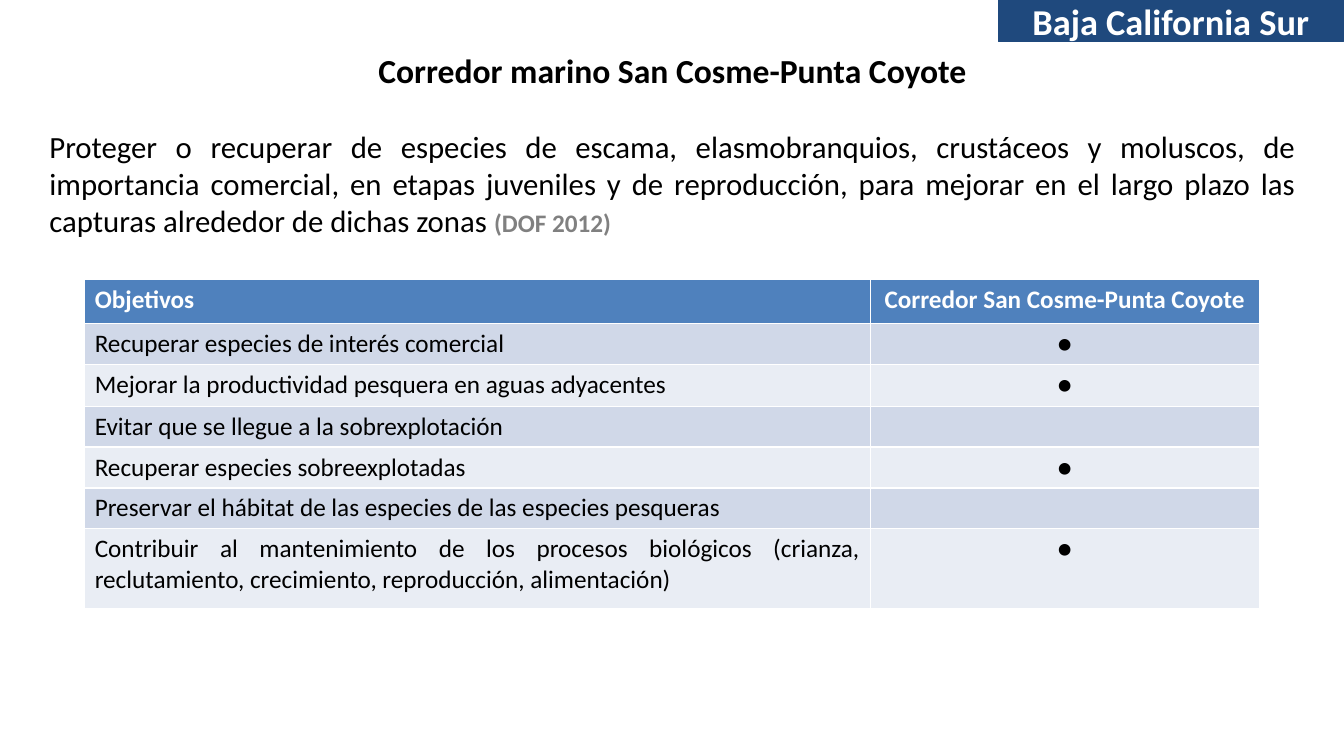
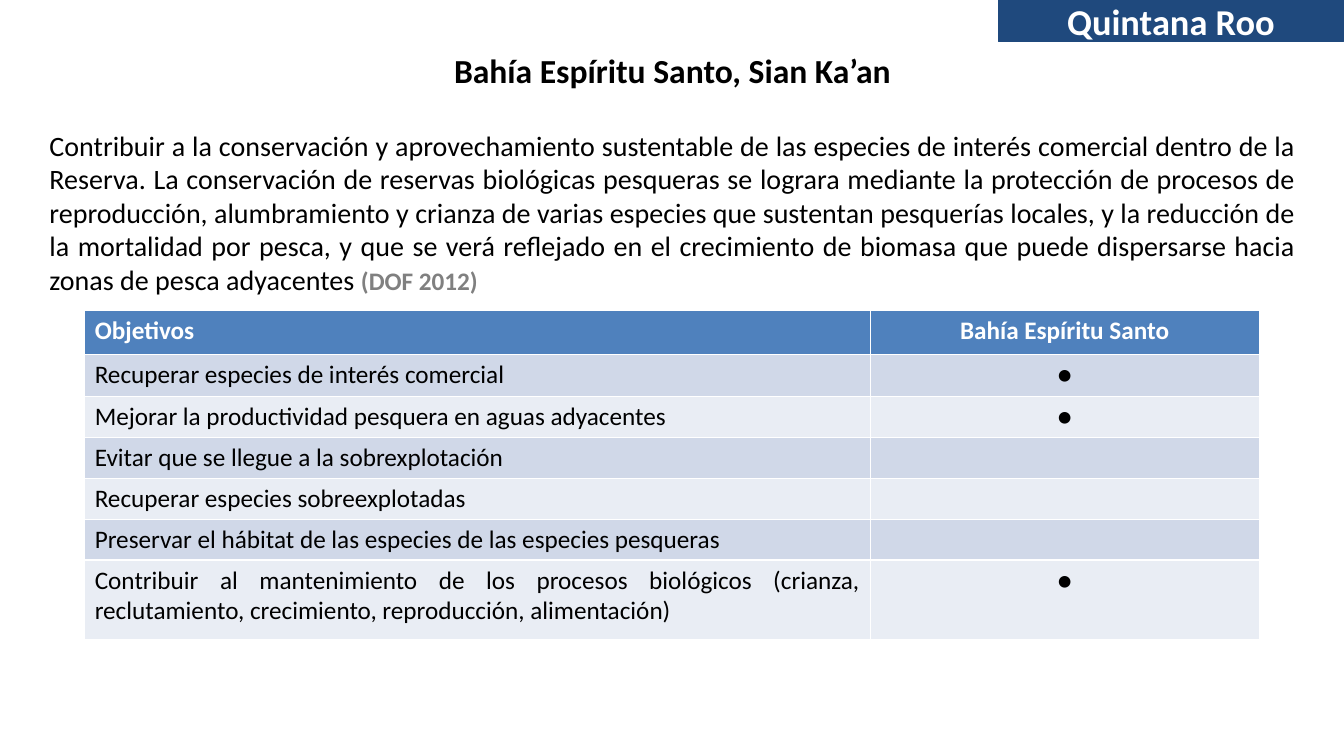
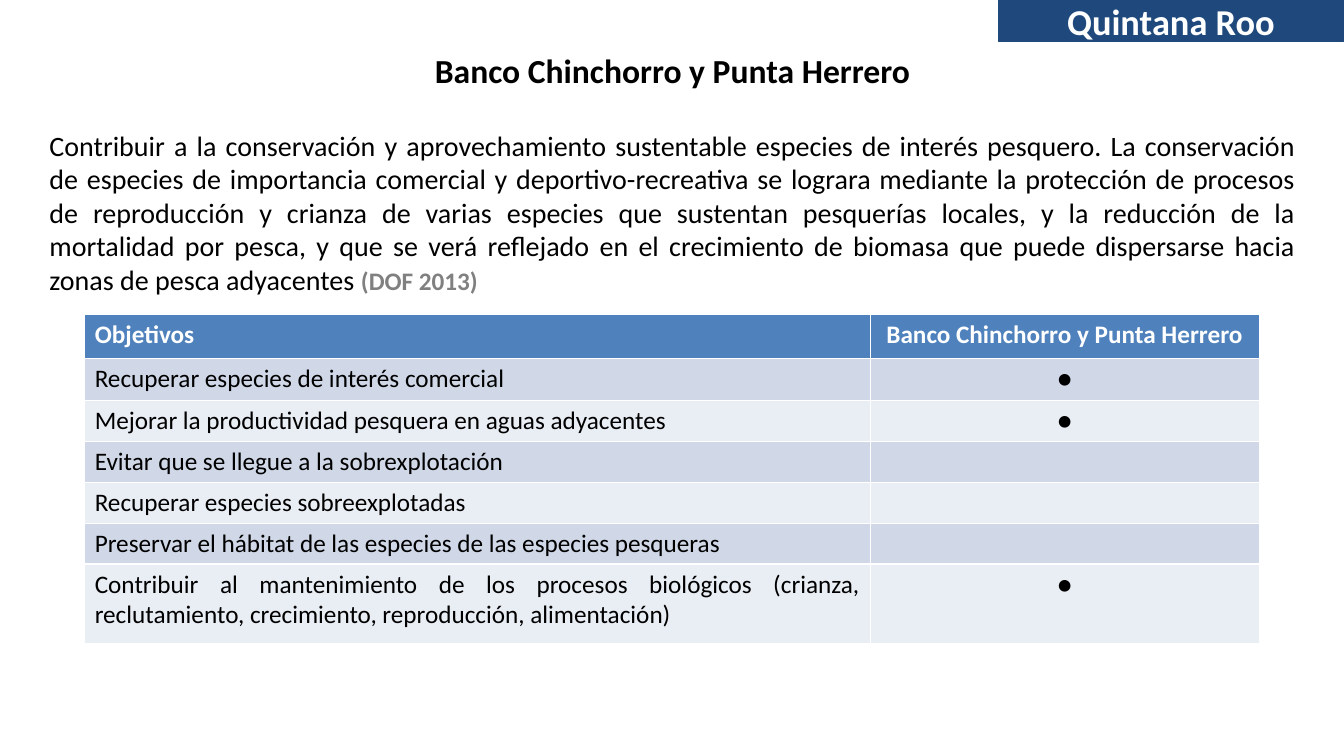
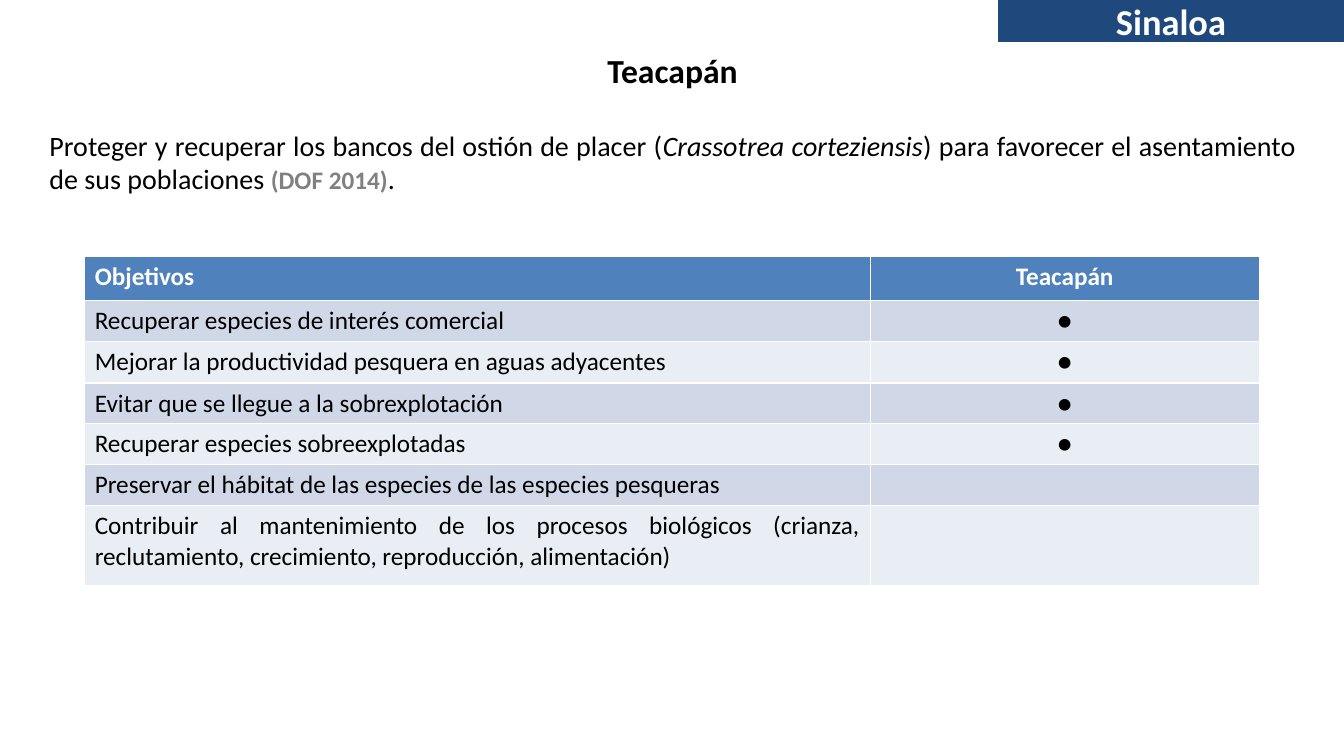
from pptx import Presentation
from pptx.dml.color import RGBColor
from pptx.enum.shapes import MSO_SHAPE
from pptx.enum.text import MSO_ANCHOR, MSO_AUTO_SIZE, PP_ALIGN
from pptx.oxml.ns import qn
from pptx.util import Inches, Pt

COLORS = {
    "banner": "1F497D", "header": "4F81BD", "band_dark": "D0D8E8",
    "band_light": "E9EDF4", "white": "FFFFFF", "black": "000000", "gray": "808080",
}
FONT = "Calibri"
STYLES = {
    "banner": {"size": Pt(26), "bold": True, "color": "white"},
    "title": {"size": Pt(24), "bold": True, "color": "black"},
    "large": {"size": Pt(22), "bold": False, "color": "black"},
    "normal": {"size": Pt(20), "bold": False, "color": "black"},
    "species": {"size": Pt(20), "bold": False, "italic": True, "color": "black"},
    "source": {"size": Pt(18), "bold": True, "color": "gray"},
    "header": {"size": Pt(18), "bold": True, "color": "white"},
    "cell": {"size": Pt(18), "bold": False, "color": "black"},
}

OBJECTIVES = [
    "Recuperar especies de interés comercial",
    "Mejorar la productividad pesquera en aguas adyacentes",
    "Evitar que se llegue a la sobrexplotación",
    "Recuperar especies sobreexplotadas",
    "Preservar el hábitat de las especies de las especies pesqueras",
    "Contribuir al mantenimiento de los procesos biológicos (crianza, "
    "reclutamiento, crecimiento, reproducción, alimentación)",
]
COLUMN_WIDTHS = [7.79, 3.86]
ROW_HEIGHTS = [0.44, 0.41, 0.41, 0.4, 0.38, 0.4, 0.79]
TEXT_LEFT, TEXT_WIDTH, TITLE_TOP, BODY_TOP = 0.39, 12.56, 0.44, 1.22

# "met" holds the positions in OBJECTIVES that the refuge fulfils
REFUGES = [
    {
        "state": "Baja California Sur",
        "title": "Corredor marino San Cosme-Punta Coyote",
        "column": "Corredor San Cosme-Punta Coyote",
        "body": [
            ("Proteger o recuperar de especies de escama, elasmobranquios, crustáceos y "
             "moluscos, de importancia comercial, en etapas juveniles y de reproducción, "
             "para mejorar en el largo plazo las capturas alrededor de dichas zonas ", "large"),
            ("(DOF 2012)", "source"),
        ],
        "met": {0, 1, 3, 5},
        "table_top": 2.77,
    },
    {
        "state": "Quintana Roo",
        "title": "Bahía Espíritu Santo, Sian Ka’an",
        "column": "Bahía Espíritu Santo",
        "body": [
            ("Contribuir a la conservación y aprovechamiento sustentable de las especies de "
             "interés comercial dentro de la Reserva. La conservación de reservas biológicas "
             "pesqueras se lograra mediante la protección de procesos de reproducción, "
             "alumbramiento y crianza de varias especies que sustentan pesquerías locales, y "
             "la reducción de la mortalidad por pesca, y que se verá reflejado en el "
             "crecimiento de biomasa que puede dispersarse hacia zonas de pesca adyacentes ",
             "normal"),
            ("(DOF 2012)", "source"),
        ],
        "met": {0, 1, 5},
        "table_top": 3.08,
    },
    {
        "state": "Quintana Roo",
        "title": "Banco Chinchorro y Punta Herrero",
        "column": "Banco Chinchorro y Punta Herrero",
        "body": [
            ("Contribuir a la conservación y aprovechamiento sustentable especies de interés "
             "pesquero. La conservación de especies de importancia comercial y "
             "deportivo-recreativa se lograra mediante la protección de procesos de "
             "reproducción y crianza de varias especies que sustentan pesquerías locales, y "
             "la reducción de la mortalidad por pesca, y que se verá reflejado en el "
             "crecimiento de biomasa que puede dispersarse hacia zonas de pesca adyacentes ",
             "normal"),
            ("(DOF 2013)", "source"),
        ],
        "met": {0, 1, 5},
        "table_top": 3.12,
    },
    {
        "state": "Sinaloa",
        "title": "Teacapán",
        "column": "Teacapán",
        "body": [
            ("Proteger y recuperar los bancos del ostión de placer (", "normal"),
            ("Crassotrea corteziensis", "species"),
            (") para favorecer el asentamiento de sus poblaciones ", "normal"),
            ("(DOF 2014)", "source"),
            (".", "normal"),
        ],
        "met": {0, 1, 2, 3},
        "table_top": 2.54,
    },
]


def rgb(name):
    return RGBColor.from_string(COLORS[name])


def write(paragraph, runs, alignment):
    """Fill a paragraph with (text, style name) runs."""
    paragraph.alignment = alignment
    for text, style in runs:
        run = paragraph.add_run()
        run.text = text
        run.font.name = FONT
        for name, value in STYLES[style].items():
            if name == "color":
                run.font.color.rgb = rgb(value)
            else:
                setattr(run.font, name, value)


def fill_placeholder(shape, top, height, runs, alignment):
    place = {"left": TEXT_LEFT, "top": top, "width": TEXT_WIDTH, "height": height}
    for name, value in place.items():
        setattr(shape, name, Inches(value))
    frame = shape.text_frame
    frame.auto_size = MSO_AUTO_SIZE.NONE
    frame.vertical_anchor = MSO_ANCHOR.TOP
    paragraph = frame.paragraphs[0]
    properties = paragraph._p.get_or_add_pPr()
    properties.set("marL", "0")
    properties.set("indent", "0")
    properties.append(properties.makeelement(qn("a:buNone"), {}))
    paragraph.space_before = Pt(0)
    write(paragraph, runs, alignment)


def add_banner(slide, state):
    banner = slide.shapes.add_shape(
        MSO_SHAPE.RECTANGLE, Inches(9.9), 0, Inches(3.43), Inches(0.41))
    banner.shadow.inherit = False
    banner.fill.solid()
    banner.fill.fore_color.rgb = rgb("banner")
    banner.line.color.rgb = rgb("banner")
    banner.line.width = Pt(0.75)
    write(banner.text_frame.paragraphs[0], [(state, "banner")], PP_ALIGN.CENTER)


def add_objectives(slide, refuge):
    rows = [("Objetivos", refuge["column"])]
    rows += [(text, "●" if index in refuge["met"] else "")
             for index, text in enumerate(OBJECTIVES)]
    table = slide.shapes.add_table(
        len(rows), len(COLUMN_WIDTHS), Inches(0.84), Inches(refuge["table_top"]),
        Inches(sum(COLUMN_WIDTHS)), Inches(sum(ROW_HEIGHTS))).table
    for column, width in zip(table.columns, COLUMN_WIDTHS):
        column.width = Inches(width)
    for index, (row, height, texts) in enumerate(zip(table.rows, ROW_HEIGHTS, rows)):
        row.height = Inches(height)
        style = "cell" if index else "header"
        band = ("band_dark" if index % 2 else "band_light") if index else "header"
        for cell, text, alignment in zip(row.cells, texts, (PP_ALIGN.JUSTIFY, PP_ALIGN.CENTER)):
            cell.fill.solid()
            cell.fill.fore_color.rgb = rgb(band)
            write(cell.text_frame.paragraphs[0], [(text, style)] if text else [], alignment)


def main():
    presentation = Presentation()
    presentation.slide_width = Inches(13.33)
    presentation.slide_height = Inches(7.5)
    for refuge in REFUGES:
        slide = presentation.slides.add_slide(presentation.slide_layouts[1])
        fill_placeholder(slide.shapes.title, TITLE_TOP, 0.55,
                         [(refuge["title"], "title")], PP_ALIGN.CENTER)
        fill_placeholder(slide.placeholders[1], BODY_TOP, refuge["table_top"] - BODY_TOP,
                         refuge["body"], PP_ALIGN.JUSTIFY)
        add_objectives(slide, refuge)
        add_banner(slide, refuge["state"])
    presentation.save("out.pptx")


if __name__ == "__main__":
    main()
